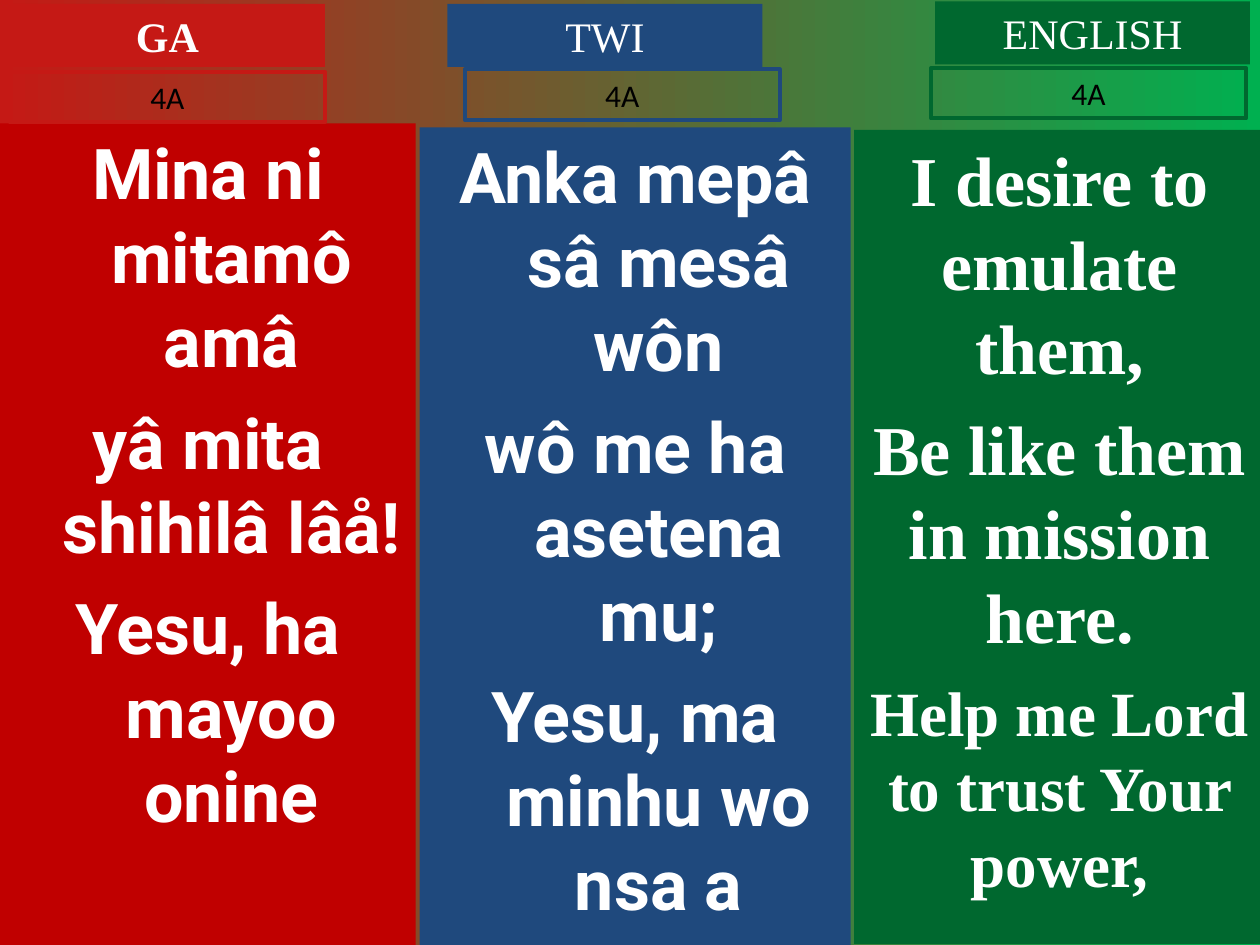
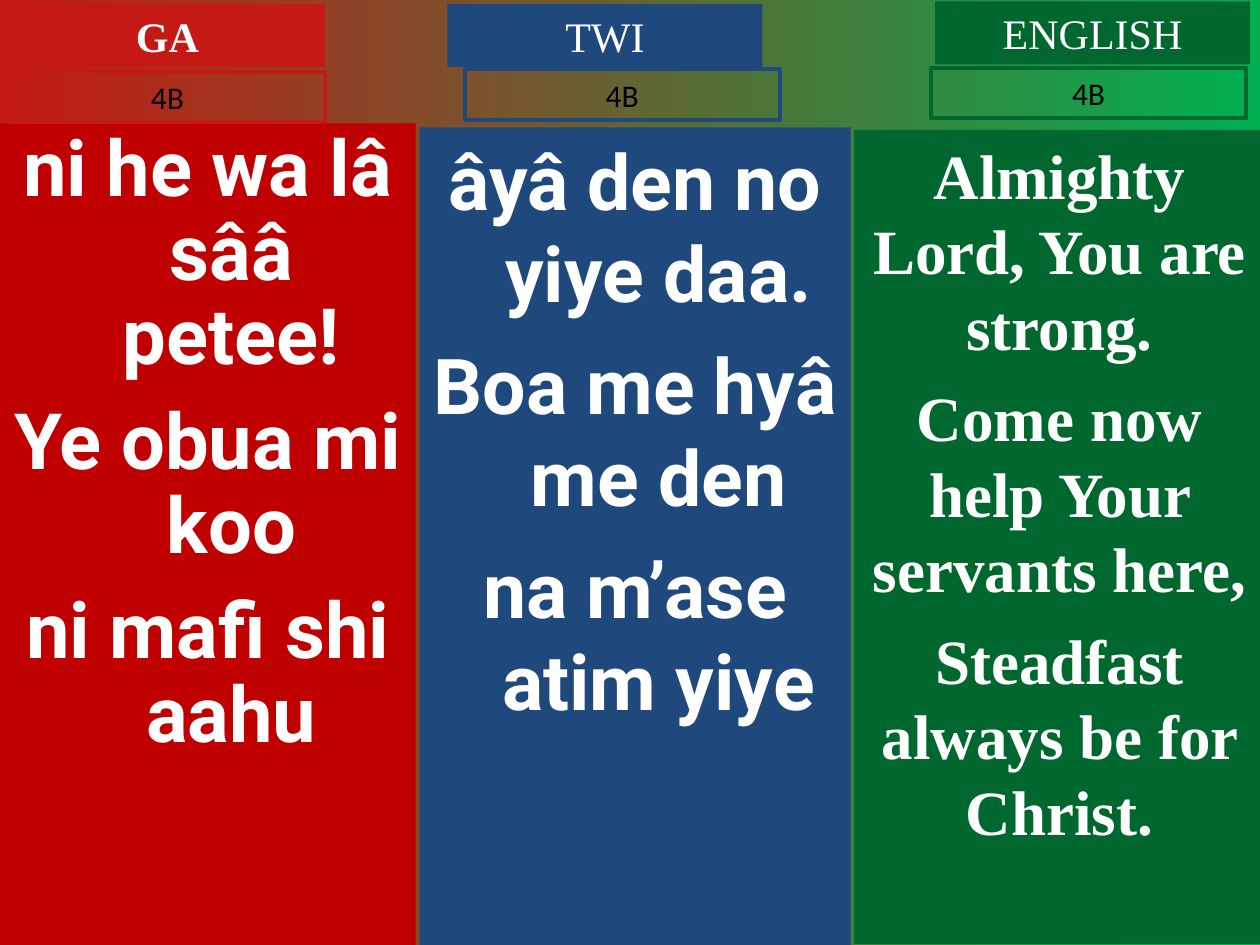
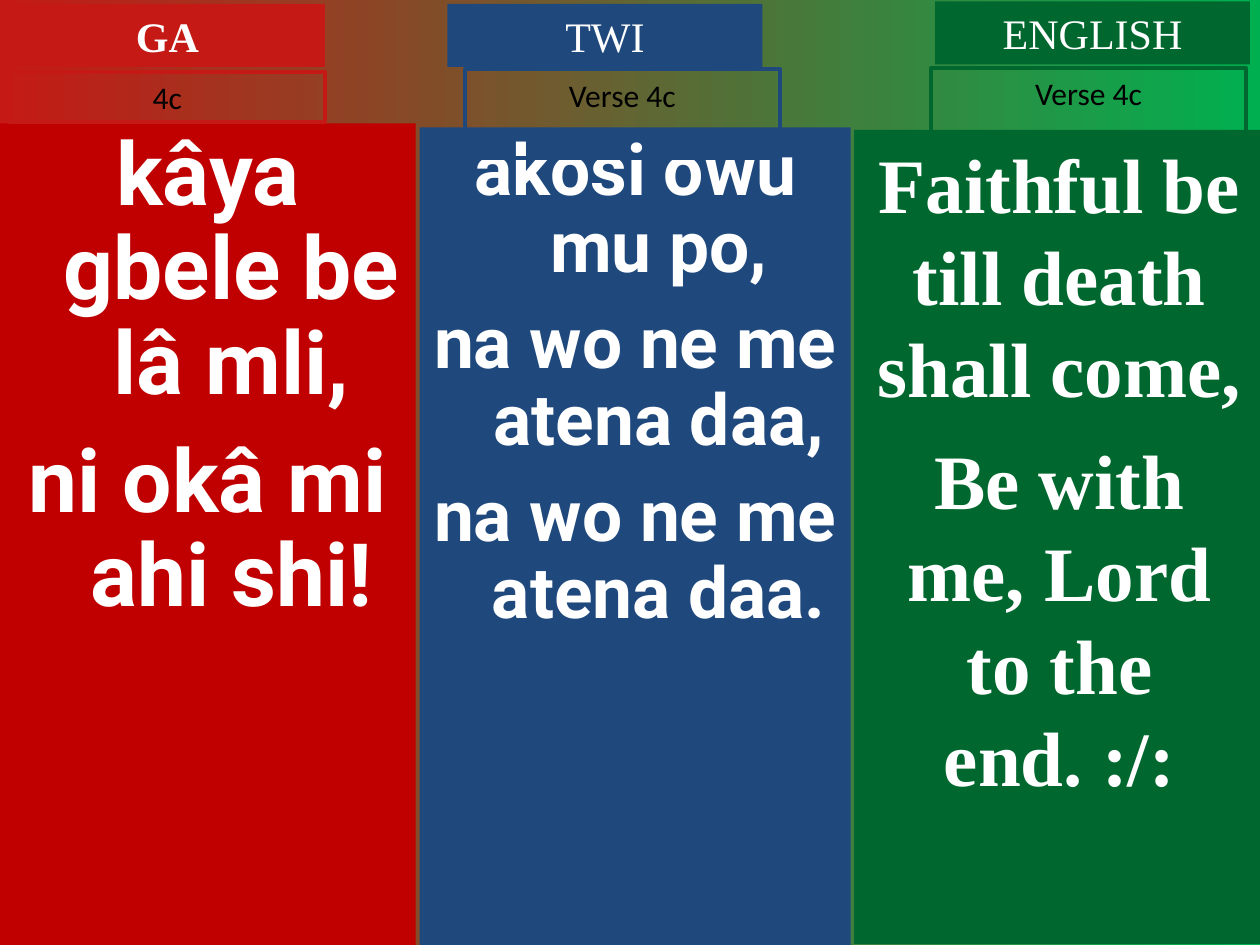
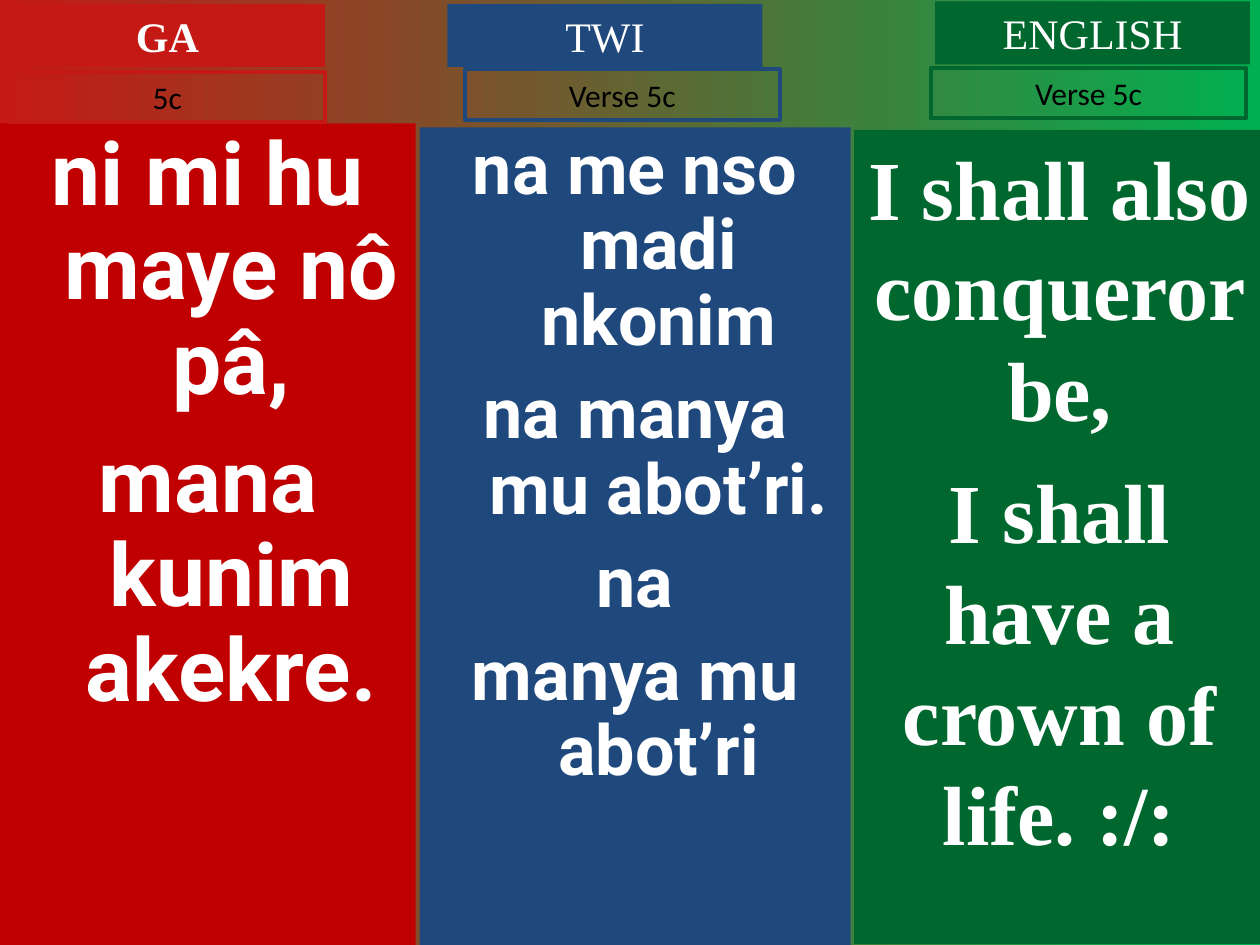
from dataclasses import dataclass
from typing import NamedTuple, Optional

from pptx import Presentation
from pptx.dml.color import RGBColor
from pptx.enum.shapes import MSO_SHAPE as ShapeKind
from pptx.enum.text import MSO_ANCHOR as Anchor
from pptx.enum.text import MSO_AUTO_SIZE as AutoSize
from pptx.enum.text import PP_ALIGN as Align
from pptx.util import Cm, Pt

# Shared colours, fonts and sizes
RED = RGBColor(0xC5, 0x19, 0x15)
DEEP_RED = RGBColor(0xC0, 0x00, 0x00)
BLUE = RGBColor(0x1F, 0x49, 0x7D)
GREEN = RGBColor(0x00, 0x68, 0x2F)
BRIGHT_GREEN = RGBColor(0x00, 0xB0, 0x50)
WHITE = RGBColor(0xFF, 0xFF, 0xFF)
BLACK = RGBColor(0x00, 0x00, 0x00)

SERIF, SANS, LABEL_FONT = "Times New Roman", "Roboto", "Calibri"
TAG_WIDTH, HEADER_HEIGHT = 6.35, 1.27
LABEL_HEIGHT, TALL_LABEL_HEIGHT = 1.02, 1.78


class Box(NamedTuple):
    """Left, top, width and height in centimetres."""
    left: float
    top: float
    width: float
    height: float


@dataclass(frozen=True)
class Language:
    name: str
    color: RGBColor
    panel_color: RGBColor
    panel: Box
    header: Box
    label_left: float
    label_top: float
    font: str
    hanging: float = 0
    bold_name: bool = False


@dataclass(frozen=True)
class Line:
    text: str
    size: float
    space: float


@dataclass(frozen=True)
class Lyrics:
    label: str
    lines: list[Line]
    line_spacing: Optional[float] = None
    label_height: float = LABEL_HEIGHT


LANGUAGES = [
    Language("GA", RED, DEEP_RED, Box(0, 2.49, 8.38, 16.56),
             Box(0.2, 0.08, TAG_WIDTH, HEADER_HEIGHT), 0.2, 1.45,
             SANS, hanging=0.95, bold_name=True),
    Language("TWI", BLUE, BLUE, Box(8.46, 2.57, 8.69, 16.48),
             Box(9.02, 0.08, TAG_WIDTH, HEADER_HEIGHT), 9.37, 1.4,
             SANS, hanging=0.95),
    Language("ENGLISH", GREEN, GREEN, Box(17.22, 2.62, 8.28, 16.41),
             Box(18.85, 0.03, TAG_WIDTH, HEADER_HEIGHT), 18.77, 1.37, SERIF),
]


def lines(size: float, space: float, *texts: str) -> list[Line]:
    return [Line(text, size, space) for text in texts]


# One row per slide, in the order of LANGUAGES
VERSES = [
    (
        Lyrics("4A", lines(40, 10, "Mina ni mitamô amâ", "yâ mita shihilâ lâå!",
                           "Yesu, ha mayoo onine")),
        Lyrics("4A", lines(40, 10, "Anka mepâ sâ mesâ wôn", "wô me ha asetena mu;",
                           "Yesu, ma minhu wo nsa a")),
        Lyrics("4A", lines(40, 10, "I desire to emulate them,",
                           "Be like them in mission here.")
               + lines(36, 9, "Help me Lord to trust Your power,")),
    ),
    (
        Lyrics("4B", lines(44.4, 12, "ni he wa lâ sââ petee!", "Ye obua mi koo",
                           "ni mafi shi aahu"), 0.9),
        Lyrics("4B", lines(44, 11, "âyâ den no yiye daa.", "Boa me hyâ me den",
                           "na m’ase atim yiye")),
        Lyrics("4B", lines(36, 9, "Almighty Lord, You are strong.",
                           "Come now help Your servants here,",
                           "Steadfast always be for Christ.")),
    ),
    (
        Lyrics("4c", lines(50, 13.5, "kâya gbele be lâ mli,", "ni okâ mi ahi shi!"), 0.9),
        Lyrics("Verse 4c", lines(40.7, 11, "akosi owu mu po,", "na wo ne me atena daa,",
                                 "na wo ne me atena daa."), 0.9, TALL_LABEL_HEIGHT),
        Lyrics("Verse 4c", lines(44, 11, "Faithful be till death shall come,",
                                 "Be with me, Lord to the end. :/:"),
               label_height=TALL_LABEL_HEIGHT),
    ),
    (
        Lyrics("5c", lines(50, 13.5, "ni mi hu maye nô pâ,", "mana kunim akekre."), 0.9),
        Lyrics("Verse 5c", lines(40, 10, "na me nso madi nkonim", "na manya mu abot’ri.",
                                 "na", "manya mu abot’ri"), 0.9),
        Lyrics("Verse 5c", lines(48, 12, "I shall also conqueror be,",
                                 "I shall have a crown of life. :/:")),
    ),
]


def add_box(slide, box: Box, fill: Optional[RGBColor] = None,
            line: Optional[RGBColor] = None, grow: bool = False):
    """Draw a rectangle and return its empty text frame."""
    shape = slide.shapes.add_shape(ShapeKind.RECTANGLE, *(Cm(value) for value in box))
    shape.shadow.inherit = False
    if fill is None:
        shape.fill.background()
    else:
        shape.fill.solid()
        shape.fill.fore_color.rgb = fill
    if line is None:
        shape.line.fill.background()
    else:
        shape.line.color.rgb = line
        shape.line.width = Pt(2.25)
    frame = shape.text_frame
    frame.word_wrap = True
    frame.vertical_anchor = Anchor.TOP
    frame.auto_size = AutoSize.SHAPE_TO_FIT_TEXT if grow else AutoSize.NONE
    return frame


def add_text(frame, text: str, *, size: float, font: str, color: RGBColor = WHITE,
             bold: bool = False, space_before: float = 0, hanging: float = 0,
             line_spacing: Optional[float] = None) -> None:
    """Fill the first paragraph, or append one when it is already used."""
    first = not frame.text
    paragraph = frame.paragraphs[0] if first else frame.add_paragraph()
    paragraph.alignment = Align.CENTER
    if line_spacing:
        paragraph.line_spacing = line_spacing
    if not first:
        paragraph.space_before = Pt(space_before)
    if hanging:
        properties = paragraph._p.get_or_add_pPr()
        properties.set("marL", str(Cm(hanging)))
        properties.set("indent", str(-Cm(hanging)))
    run = paragraph.add_run()
    run.text = text
    run.font.size = Pt(size)
    run.font.name = font
    run.font.bold = bold
    run.font.color.rgb = color


def add_column(slide, language: Language, lyrics: Lyrics) -> None:
    # Lyrics panel
    panel = add_box(slide, language.panel, fill=language.panel_color)
    for line in lyrics.lines:
        add_text(panel, line.text, size=line.size, font=language.font, bold=True,
                 space_before=line.space, hanging=language.hanging,
                 line_spacing=lyrics.line_spacing)
    # Language name
    header = add_box(slide, language.header, fill=language.color, grow=True)
    add_text(header, language.name, size=24, font=SERIF, bold=language.bold_name)
    # Verse number
    label_box = Box(language.label_left, language.label_top, TAG_WIDTH, lyrics.label_height)
    label = add_box(slide, label_box, line=language.color, grow=True)
    add_text(label, lyrics.label, size=18, font=LABEL_FONT, color=BLACK)


def paint_background(slide) -> None:
    fill = slide.background.fill
    fill.gradient()
    fill.gradient_angle = 0
    for stop, color, position in zip(fill.gradient_stops, (RED, BRIGHT_GREEN), (0, 1)):
        stop.color.rgb = color
        stop.position = position


def main() -> None:
    presentation = Presentation()
    presentation.slide_width, presentation.slide_height = Cm(25.4), Cm(19.05)
    blank_layout = presentation.slide_layouts[6]
    for verse in VERSES:
        slide = presentation.slides.add_slide(blank_layout)
        paint_background(slide)
        for language, lyrics in zip(LANGUAGES, verse):
            add_column(slide, language, lyrics)
    presentation.save("out.pptx")


if __name__ == "__main__":
    main()
